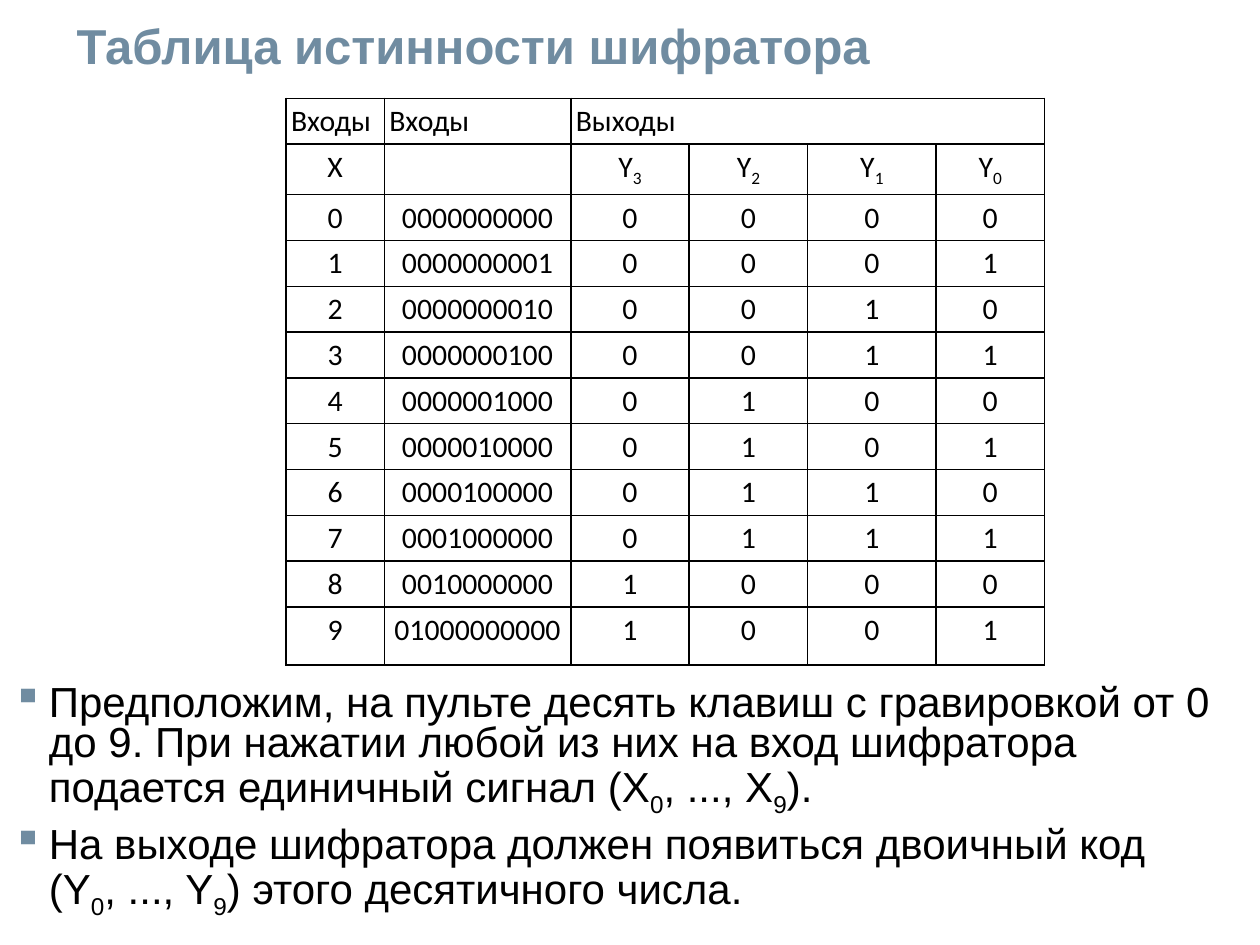
from lxml import etree
from pptx import Presentation
from pptx.dml.color import RGBColor
from pptx.enum.text import MSO_ANCHOR, PP_ALIGN
from pptx.oxml.ns import qn
from pptx.util import Inches, Pt

BLACK, ACCENT, WHITE = "000000", "708CA1", "FFFFFF"

TITLE = "Таблица истинности шифратора"
# An underscore lowers the character that follows it.
NOTES = [
    "Предположим, на пульте десять клавиш с гравировкой от 0 до 9. При нажатии "
    "любой из них на вход шифратора подается единичный сигнал (Х_0, ..., Х_9).",
    "На выходе шифратора должен появиться двоичный код (Y_0, ..., Y_9) "
    "этого десятичного числа.",
]
GROUPS = ["Входы", "Входы", "Выходы", "", "", ""]
SIGNALS = ["X", "", "Y_3", "Y_2", "Y_1", "Y_0"]
INPUT_CODES = [
    "0000000000", "0000000001", "0000000010", "0000000100", "0000001000",
    "0000010000", "0000100000", "0001000000", "0010000000", "01000000000",
]
TRUTH_ROWS = [[str(key), code, *f"{key:04b}"] for key, code in enumerate(INPUT_CODES)]
ROWS = [GROUPS, SIGNALS, *TRUTH_ROWS]

COLUMN_WIDTHS = [0.78, 1.48, 0.94, 0.94, 1.02, 0.86]
ROW_HEIGHTS = [0.34] * (len(ROWS) - 1) + [0.46]
CELL_MARGIN = Inches(0.04)


def color(value):
    return RGBColor.from_string(value)


def write(paragraph, content, size, font_name, font_color=BLACK, bold=False):
    """Fill a paragraph, turning each "_n" into a subscript n."""
    font = paragraph.font
    font.size, font.name, font.bold = Pt(size), font_name, bold
    font.color.rgb = color(font_color)
    first, *rest = content.split("_")
    pieces = [(first, False)]
    for part in rest:
        pieces += [(part[0], True), (part[1:], False)]
    for piece, lowered in pieces:
        if piece:
            run = paragraph.add_run()
            run.text = piece
            if lowered:
                run.font._element.set("baseline", "-25000")


def indent(paragraph, left, first_line=0):
    properties = paragraph._p.get_or_add_pPr()
    properties.set("marL", str(Inches(left)))
    properties.set("indent", str(Inches(first_line)))
    return properties


def add_bullet(paragraph):
    properties = indent(paragraph, 0.29, -0.29)
    bullet_color = etree.Element(qn("a:buClr"))
    etree.SubElement(bullet_color, qn("a:srgbClr"), val=ACCENT)
    bullet = etree.Element(qn("a:buChar"), char="▪")
    default_font = properties.find(qn("a:defRPr"))
    default_font.addprevious(bullet_color)
    default_font.addprevious(bullet)


def add_borders(cell):
    properties = cell._tc.get_or_add_tcPr()
    for position, side in enumerate(["lnL", "lnR", "lnT", "lnB"]):
        line = etree.Element(qn(f"a:{side}"), w=str(Pt(1)))
        fill = etree.SubElement(line, qn("a:solidFill"))
        etree.SubElement(fill, qn("a:srgbClr"), val=BLACK)
        properties.insert(position, line)


def add_text_frame(slide, left, top, width, height):
    frame = slide.shapes.add_textbox(
        Inches(left), Inches(top), Inches(width), Inches(height)).text_frame
    frame.word_wrap = True
    return frame


def add_title(slide):
    frame = add_text_frame(slide, 0.31, 0.16, 9, 0.4)
    frame.vertical_anchor = MSO_ANCHOR.MIDDLE
    heading = frame.paragraphs[0]
    write(heading, TITLE, 28, "Arial", ACCENT, bold=True)
    indent(heading, 0.2)


def add_notes(slide):
    frame = add_text_frame(slide, 0, 5.39, 10, 2.34)
    for number, note in enumerate(NOTES):
        paragraph = frame.add_paragraph() if number else frame.paragraphs[0]
        paragraph.line_spacing = 0.8
        paragraph.space_after = Pt(9)
        write(paragraph, note, 24, "Arial")
        add_bullet(paragraph)


def add_truth_table(slide):
    table = slide.shapes.add_table(
        len(ROWS), len(COLUMN_WIDTHS), Inches(2.27), Inches(0.78),
        Inches(sum(COLUMN_WIDTHS)), Inches(sum(ROW_HEIGHTS))).table
    table.first_row = table.horz_banding = False
    for column, width in zip(table.columns, COLUMN_WIDTHS):
        column.width = Inches(width)
    for row, height in zip(table.rows, ROW_HEIGHTS):
        row.height = Inches(height)
    for r, values in enumerate(ROWS):
        for c, value in enumerate(values):
            cell = table.cell(r, c)
            cell.margin_left = cell.margin_right = CELL_MARGIN
            cell.margin_top = cell.margin_bottom = CELL_MARGIN
            cell.fill.solid()
            cell.fill.fore_color.rgb = color(WHITE)
            add_borders(cell)
            paragraph = cell.text_frame.paragraphs[0]
            paragraph.alignment = PP_ALIGN.CENTER if r else PP_ALIGN.LEFT
            write(paragraph, value, 17, "Calibri")
    table.cell(0, 2).merge(table.cell(0, 5))


def main():
    deck = Presentation()
    deck.slide_width, deck.slide_height = Inches(10), Inches(7.5)
    slide = deck.slides.add_slide(deck.slide_layouts[6])
    add_title(slide)
    add_notes(slide)
    add_truth_table(slide)
    deck.save("out.pptx")


if __name__ == "__main__":
    main()
